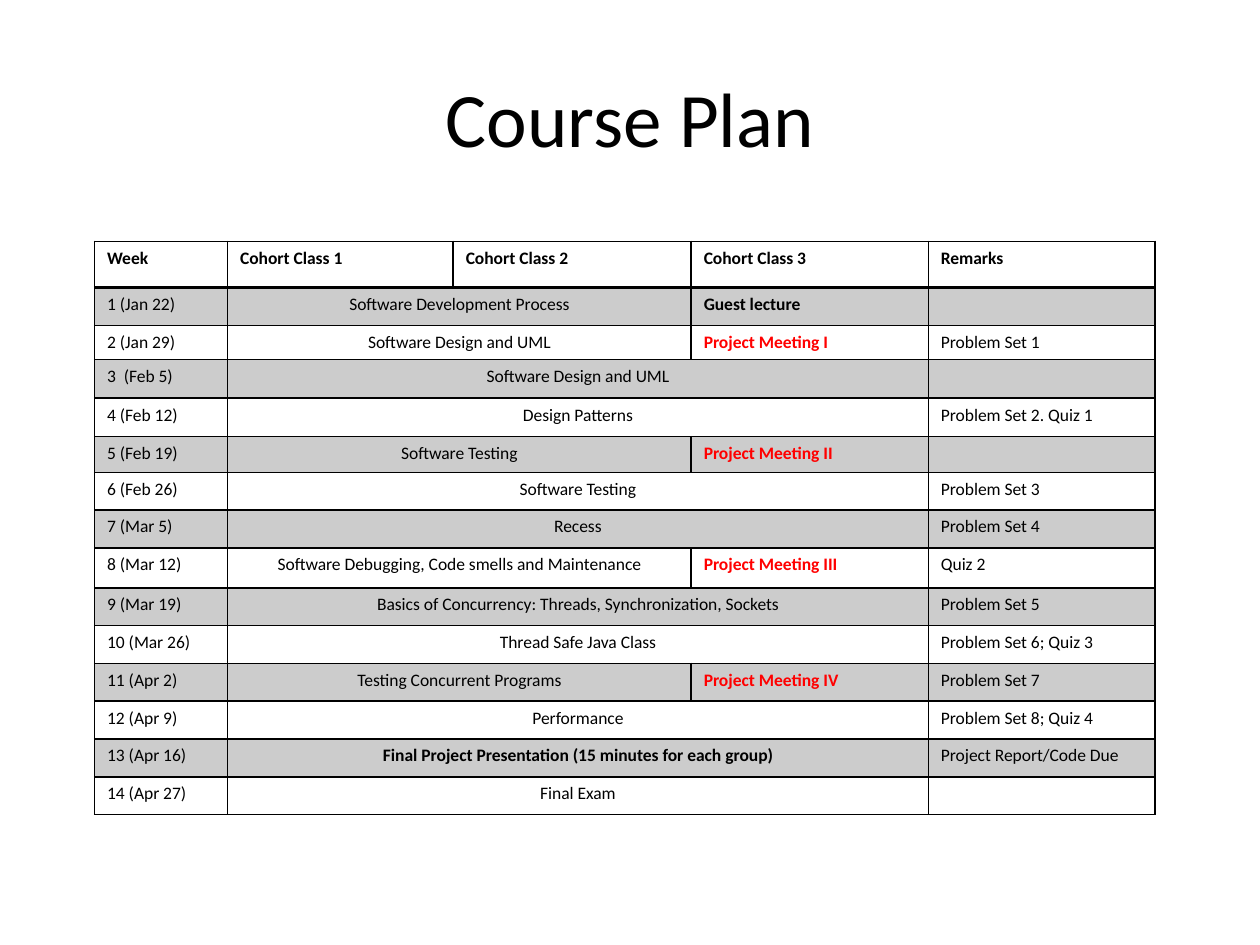
from lxml import etree
from pptx import Presentation
from pptx.dml.color import RGBColor
from pptx.enum.text import MSO_ANCHOR, PP_ALIGN
from pptx.oxml.ns import qn
from pptx.util import Pt

LEFT, CENTER = PP_ALIGN.LEFT, PP_ALIGN.CENTER
MIDDLE = MSO_ANCHOR.MIDDLE
BLACK = RGBColor(0x00, 0x00, 0x00)
RED = RGBColor(0xFF, 0x00, 0x00)
GRAY = RGBColor(0xCC, 0xCC, 0xCC)

HEADINGS = ["Week", "Cohort Class 1", "Cohort Class 2", "Cohort Class 3", "Remarks"]
# Week, topic, third class (None when the topic fills all three), remarks
WEEKS = [
    ("1 (Jan 22)", "Software Development Process", "Guest lecture", ""),
    ("2 (Jan 29)", "Software Design and UML", "Project Meeting I", "Problem Set 1"),
    ("3  (Feb 5)", "Software Design and UML", None, ""),
    ("4 (Feb 12)", "Design Patterns", None, "Problem Set 2. Quiz 1"),
    ("5 (Feb 19)", "Software Testing", "Project Meeting II", ""),
    ("6 (Feb 26)", "Software Testing", None, "Problem Set 3"),
    ("7 (Mar 5)", "Recess", None, "Problem Set 4"),
    ("8 (Mar 12)", "Software Debugging, Code smells and Maintenance",
     "Project Meeting III", "Quiz 2"),
    ("9 (Mar 19)", "Basics of Concurrency: Threads, Synchronization, Sockets",
     None, "Problem Set 5"),
    ("10 (Mar 26)", "Thread Safe Java Class", None, "Problem Set 6; Quiz 3"),
    ("11 (Apr 2)", "Testing Concurrent Programs", "Project Meeting IV", "Problem Set 7"),
    ("12 (Apr 9)", "Performance", None, "Problem Set 8; Quiz 4"),
    ("13 (Apr 16)", "Final Project Presentation (15 minutes for each group)",
     None, "Project Report/Code Due"),
    ("14 (Apr 27)", "Final Exam", None, ""),
]
COLUMN_WIDTHS = [76, 129, 136, 135.5, 129.5]
HEADER_HEIGHT, WEEK_HEIGHT = 26.5, 21.6
SPECIAL_HEIGHTS = {2: 18, 3: 22.2, 4: 22, 5: 20.4, 8: 22.8}


class SlideWriter:
    def __init__(self, slide, font_name="Calibri"):
        self.slide = slide
        self.font_name = font_name

    def style(self, paragraph, size, color=BLACK, bold=False, align=LEFT):
        paragraph.alignment = align
        font = paragraph.font
        font.name, font.size, font.bold = self.font_name, Pt(size), bold
        font.color.rgb = color

    def title(self, text, left, top, width, height):
        box = self.slide.shapes.add_textbox(Pt(left), Pt(top), Pt(width), Pt(height))
        frame = box.text_frame
        frame.word_wrap = True
        frame.vertical_anchor = MIDDLE
        frame.text = text
        self.style(frame.paragraphs[0], 44, align=CENTER)

    def table(self, left, top, widths, heights):
        frame = self.slide.shapes.add_table(
            len(heights), len(widths), Pt(left), Pt(top), Pt(sum(widths)), Pt(sum(heights)))
        table = frame.table
        table.first_row = table.horz_banding = False
        for column, width in zip(table.columns, widths):
            column.width = Pt(width)
        for row, height in zip(table.rows, heights):
            row.height = Pt(height)
        return table

    def cell(self, cell, text, **style):
        cell.text = text
        paragraph = cell.text_frame.paragraphs[0]
        self.style(paragraph, 10, **style)
        if not text:  # an empty cell takes its line height from the end mark
            etree.SubElement(paragraph._p, qn("a:endParaRPr"), sz="1000")

    def frame_cell(self, cell, fill=None, top=1, bottom=1):
        """Fill the cell and draw its four borders."""
        if fill is None:
            cell.fill.background()
        else:
            cell.fill.solid()
            cell.fill.fore_color.rgb = fill
        properties = cell._tc.get_or_add_tcPr()
        borders = [("lnL", 1), ("lnR", 1), ("lnT", top), ("lnB", bottom)]
        for position, (name, width) in enumerate(borders):
            line = etree.Element(qn(f"a:{name}"), w=str(Pt(width)))
            solid = etree.SubElement(line, qn("a:solidFill"))
            etree.SubElement(solid, qn("a:srgbClr"), val=str(BLACK))
            properties.insert(position, line)


def add_course_plan(writer):
    heights = [HEADER_HEIGHT] + [
        SPECIAL_HEIGHTS.get(week, WEEK_HEIGHT) for week in range(1, len(WEEKS) + 1)]
    table = writer.table(54, 138, COLUMN_WIDTHS, heights)

    for column, heading in enumerate(HEADINGS):
        writer.cell(table.cell(0, column), heading, bold=True)
        writer.frame_cell(table.cell(0, column), bottom=2)

    for row, (week, topic, third_class, remarks) in enumerate(WEEKS, start=1):
        for column in range(len(HEADINGS)):
            writer.frame_cell(table.cell(row, column), GRAY if row % 2 else None,
                              top=2 if row == 1 else 1)
        table.cell(row, 1).merge(table.cell(row, 2 if third_class else 3))
        writer.cell(table.cell(row, 0), week)
        writer.cell(table.cell(row, 1), topic, align=CENTER,
                    bold=topic.startswith("Final Project"))
        if third_class:
            color = RED if third_class.startswith("Project Meeting") else BLACK
            writer.cell(table.cell(row, 3), third_class, color=color, bold=True)
        writer.cell(table.cell(row, 4), remarks)


def main():
    presentation = Presentation()
    presentation.slide_width, presentation.slide_height = Pt(720), Pt(540)
    writer = SlideWriter(presentation.slides.add_slide(presentation.slide_layouts[6]))
    writer.title("Course Plan", 36, 21.6, 648, 90)
    add_course_plan(writer)
    presentation.save("out.pptx")


if __name__ == "__main__":
    main()
